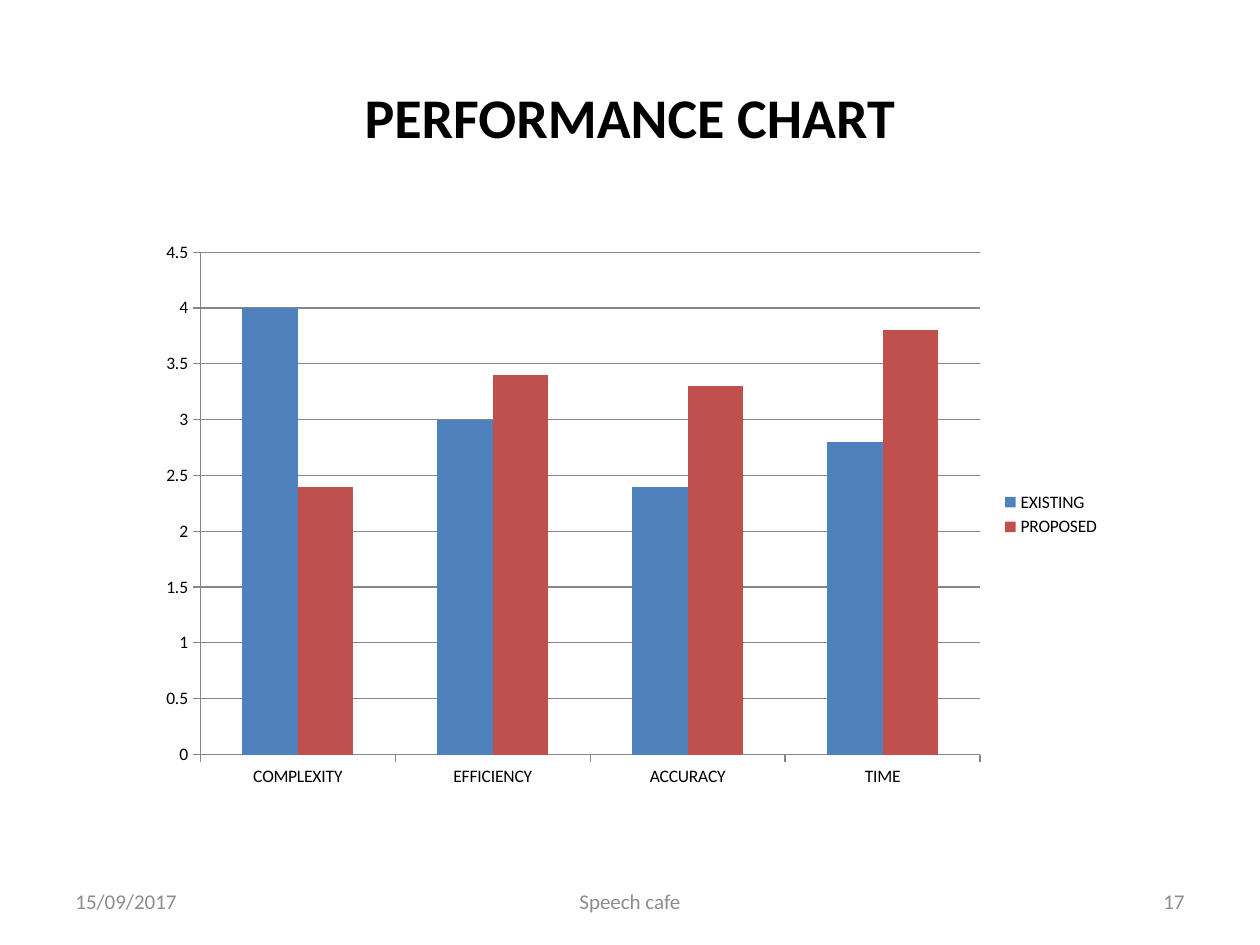
"""Build the performance chart slide."""
import pptx
import pptx.chart.data
import pptx.dml.color
import pptx.enum.chart
import pptx.enum.text
import pptx.util

Pt = pptx.util.Pt
RGB = pptx.dml.color.RGBColor.from_string
ALIGN = pptx.enum.text.PP_ALIGN
COLORS = {"text": "000000", "footer": "8C8C8C", "line": "868686",
          "EXISTING": "4F81BD", "PROPOSED": "C0504D"}
FONT = "Calibri"


def write(sp, text, size=12, color="footer", bold=False, align=ALIGN.LEFT):
    tf = sp.text_frame
    tf.word_wrap = True
    tf.vertical_anchor = pptx.enum.text.MSO_ANCHOR.MIDDLE
    p = tf.paragraphs[0]
    p.alignment = align
    r = p.add_run()
    r.text = text
    r.font.name = FONT
    r.font.size = Pt(size)
    r.font.bold = bold
    r.font.color.rgb = RGB(COLORS[color])


prs = pptx.Presentation()
prs.slide_width, prs.slide_height = Pt(720), Pt(540)
slide = prs.slides.add_slide(prs.slide_layouts[5])

title = slide.shapes.title
title.left, title.top, title.width, title.height = Pt(36), Pt(21.6), Pt(648), Pt(90)
write(title, "PERFORMANCE CHART", size=32, color="text", bold=True, align=ALIGN.CENTER)

footers = [
    ("15/09/2017", 36, 168, ALIGN.LEFT),
    ("Speech cafe", 246, 228, ALIGN.CENTER),
    ("17", 516, 168, ALIGN.RIGHT),
]
for text, left, width, align in footers:
    sp = slide.shapes.add_textbox(Pt(left), Pt(500.5), Pt(width), Pt(28.75))
    write(sp, text, align=align)

data = pptx.chart.data.CategoryChartData()
data.categories = ["COMPLEXITY", "EFFICIENCY", "ACCURACY", "TIME"]
data.add_series("EXISTING", [4, 3, 2.4, 2.8])
data.add_series("PROPOSED", [2.4, 3.4, 3.3, 3.8])
chart = slide.shapes.add_chart(
    pptx.enum.chart.XL_CHART_TYPE.COLUMN_CLUSTERED,
    Pt(84), Pt(132), Pt(552), Pt(324), data).chart
chart.has_title = False
chart.font.name = FONT
chart.font.size = Pt(10)
chart.font.color.rgb = RGB(COLORS["text"])
chart.has_legend = True
chart.legend.position = pptx.enum.chart.XL_LEGEND_POSITION.RIGHT
chart.legend.include_in_layout = False

plot = chart.plots[0]
plot.gap_width = 150
plot.overlap = 0
plot.vary_by_categories = False
for series in plot.series:
    series.format.fill.solid()
    series.format.fill.fore_color.rgb = RGB(COLORS[series.name])

axis = chart.value_axis
axis.minimum_scale, axis.maximum_scale, axis.major_unit = 0, 4.5, 0.5
axis.has_major_gridlines = True
for line in (axis.format.line, axis.major_gridlines.format.line,
             chart.category_axis.format.line):
    line.color.rgb = RGB(COLORS["line"])
    line.width = Pt(0.75)
for axis in (chart.value_axis, chart.category_axis):
    axis.major_tick_mark = pptx.enum.chart.XL_TICK_MARK.OUTSIDE

prs.save("out.pptx")
